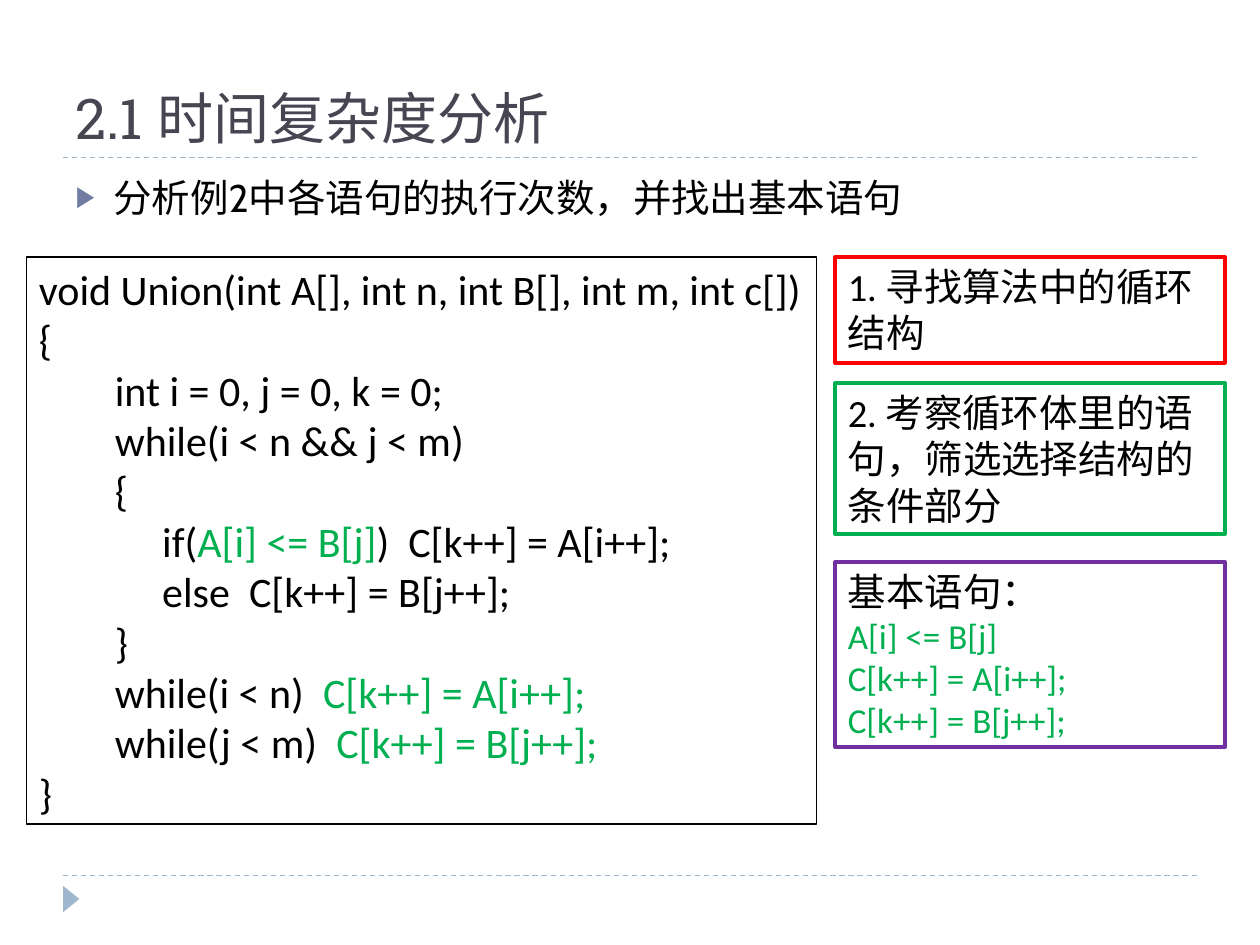
from dataclasses import dataclass

from lxml import etree
from pptx import Presentation, util as u
from pptx.dml.color import RGBColor
from pptx.enum import dml, shapes, text
from pptx.oxml.ns import qn

COLUMNS, ROWS = 100, 75


@dataclass(frozen=True)
class Theme:
    ink: str = "000000"
    title: str = "464653"
    bullet: str = "727CA3"
    rule: str = "9FB8CD"
    loop: str = "FF0000"
    key: str = "00B050"
    result: str = "7030A0"
    title_font: str = "Roboto Slab"
    body_font: str = "Cabin"
    code_font: str = "Calibri"
    title_size: int = 32
    code_size: int = 24
    body_size: int = 22
    small_size: int = 20


THEME = Theme()

CODE = """void Union(int A[], int n, int B[], int m, int c[])
{
        int i = 0, j = 0, k = 0;
        while(i < n && j < m)
        {
             if(`A[i] <= B[j]`)  C[k++] = A[i++];
             else  C[k++] = B[j++];
        }
        while(i < n)  `C[k++] = A[i++];`
        while(j < m)  `C[k++] = B[j++];`
}""".split("\n")

BASIC_STATEMENTS = ["A[i] <= B[j]", "C[k++] = A[i++];", "C[k++] = B[j++];"]


def grid(presentation, column, row, columns, rows):
    """Turn a box in grid units into slide lengths."""
    across = presentation.slide_width / COLUMNS
    down = presentation.slide_height / ROWS
    return [u.Emu(round(n * unit)) for n, unit in
            ((column, across), (row, down), (columns, across), (rows, down))]


def place(shape, box):
    shape.left, shape.top, shape.width, shape.height = box


def write(frame, lines, *, font, size, color=THEME.ink, accent=THEME.key, first=True):
    """Write one paragraph a line; text between backticks takes the accent."""
    for index, line in enumerate(lines):
        paragraph = frame.paragraphs[0] if first and index == 0 else frame.add_paragraph()
        paragraph.alignment = text.PP_ALIGN.LEFT
        for part, piece in enumerate(line.split("`")):
            if not piece:
                continue
            run = paragraph.add_run()
            run.text = piece
            run.font.name = font
            run.font.size = u.Pt(size)
            run.font.color.rgb = RGBColor.from_string(accent if part % 2 else color)


def add_bullet(paragraph, indent):
    properties = paragraph._p.get_or_add_pPr()
    properties.set("marL", str(indent))
    properties.set("indent", str(-indent))
    color = etree.SubElement(properties, qn("a:buClr"))
    etree.SubElement(color, qn("a:srgbClr"), val=THEME.bullet)
    etree.SubElement(properties, qn("a:buSzPct"), val="76000")
    etree.SubElement(properties, qn("a:buChar"), char="▶")


def add_rule(slide, box):
    left, top, width, _ = box
    rule = slide.shapes.add_connector(
        shapes.MSO_CONNECTOR.STRAIGHT, left, top, left + width, top)
    rule.line.color.rgb = RGBColor.from_string(THEME.rule)
    rule.line.width = u.Pt(0.75)
    rule.line.dash_style = dml.MSO_LINE.DASH
    etree.SubElement(rule._element.spPr, qn("a:effectLst"))


def add_page_mark(slide, box):
    mark = slide.shapes.add_shape(shapes.MSO_SHAPE.ISOSCELES_TRIANGLE, *box)
    mark.rotation = 90
    mark.shadow.inherit = False
    mark.fill.solid()
    mark.fill.fore_color.rgb = RGBColor.from_string(THEME.rule)
    mark.line.fill.background()


def fill_title(slide, box, title):
    shape = slide.shapes.title
    place(shape, box)
    shape.text_frame.vertical_anchor = text.MSO_ANCHOR.BOTTOM
    write(shape.text_frame, [title], font=THEME.title_font,
          size=THEME.title_size, color=THEME.title)


def fill_body(slide, box, line):
    shape = slide.placeholders[1]
    place(shape, box)
    paragraph = shape.text_frame.paragraphs[0]
    add_bullet(paragraph, u.Inches(0.3))
    paragraph.space_before = u.Pt(0)
    write(shape.text_frame, [line], font=THEME.body_font, size=THEME.body_size)


def add_panel(slide, box, lines, *, line_color, line_width=2.25,
              size=THEME.body_size, wrap=True):
    panel = slide.shapes.add_shape(shapes.MSO_SHAPE.RECTANGLE, *box)
    panel.shadow.inherit = False
    panel.fill.background()
    panel.line.color.rgb = RGBColor.from_string(line_color)
    panel.line.width = u.Pt(line_width)
    frame = panel.text_frame
    frame.word_wrap = wrap
    frame.auto_size = text.MSO_AUTO_SIZE.SHAPE_TO_FIT_TEXT
    frame.vertical_anchor = text.MSO_ANCHOR.TOP
    write(frame, lines, font=THEME.code_font, size=size)
    return panel


def add_steps(presentation, slide, column, columns):
    """Stack the two analysis steps and their result in one column."""
    steps = [
        (20.4, 8.4, THEME.loop, "1. 寻找算法中的循环结构"),
        (30.4, 12, THEME.key, "2. 考察循环体里的语句，筛选选择结构的条件部分"),
        (44.6, 14.7, THEME.result, "基本语句："),
    ]
    for row, rows, color, line in steps:
        box = grid(presentation, column, row, columns, rows)
        panel = add_panel(slide, box, [line], line_color=color)
    write(panel.text_frame, BASIC_STATEMENTS, font=THEME.code_font,
          size=THEME.small_size, color=THEME.key, first=False)


def build_slide(presentation):
    slide = presentation.slides.add_slide(presentation.slide_layouts[1])
    for row in (69.5, 12.5):
        add_rule(slide, grid(presentation, 5, row, 90, 0))
    add_page_mark(slide, grid(presentation, 4.6, 70.7, 2.1, 1.3))
    fill_title(slide, grid(presentation, 5, 1.7, 90, 10.8), "2.1 时间复杂度分析")
    fill_body(slide, grid(presentation, 5, 13.3, 90, 54),
              "分析例2中各语句的执行次数，并找出基本语句")
    add_panel(slide, grid(presentation, 2.1, 20.4, 62.7, 45), CODE,
              line_color=THEME.ink, line_width=0.75, size=THEME.code_size, wrap=False)
    add_steps(presentation, slide, 66.3, 30.9)


def main():
    presentation = Presentation()
    presentation.slide_width = u.Inches(10)
    presentation.slide_height = u.Inches(7.5)
    build_slide(presentation)
    presentation.save("out.pptx")


if __name__ == "__main__":
    main()
